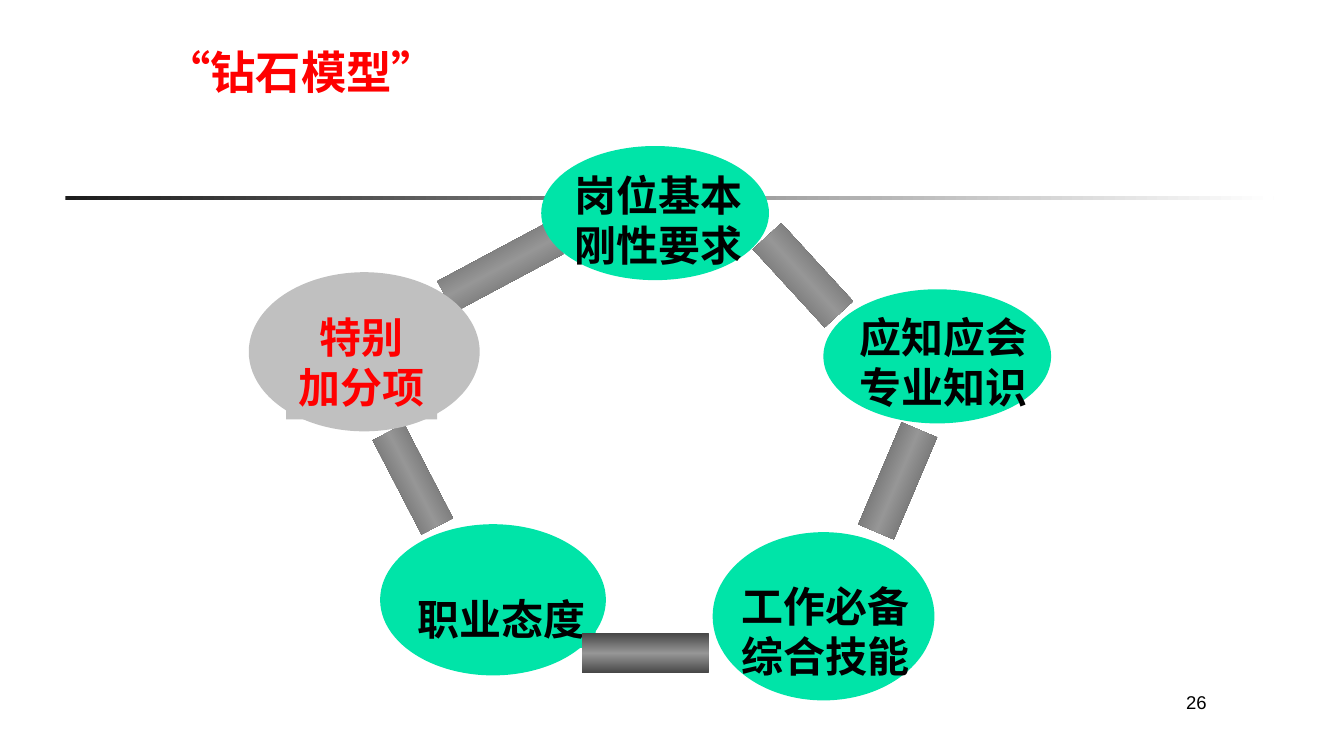
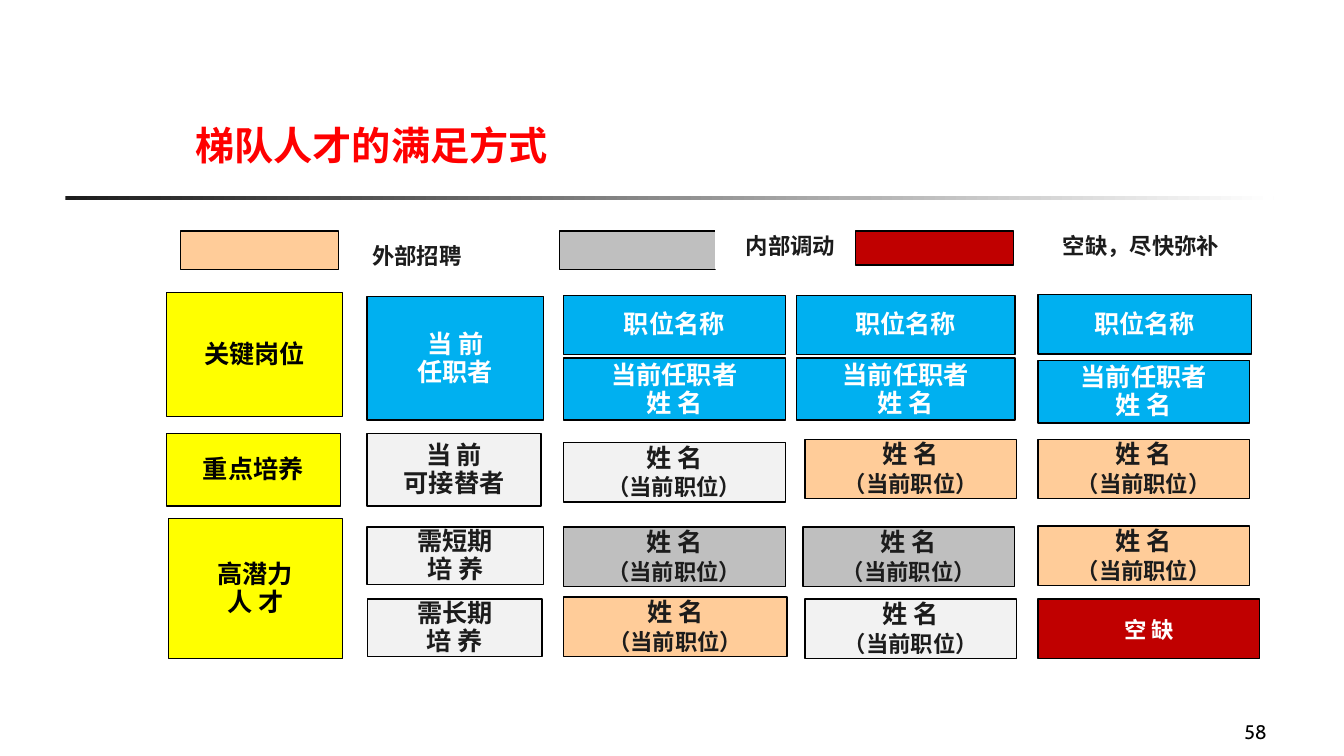
"""Build two slides: the diamond model and the ways to fill the talent pipeline."""
from pptx import Presentation, util as u
from pptx.dml.color import RGBColor
from pptx.enum import shapes, text
from pptx.oxml import parse_xml
from pptx.oxml.ns import nsdecls, qn

HUE = {
    "ink": "1C1C1C", "black": "000000", "white": "FFFFFF", "red": "FF0000",
    "mint": "00E4A8", "silver": "C0C0C0", "yellow": "FFFF00", "blue": "00B0F0",
    "pale": "F2F2F2", "peach": "FFCC99", "gray": "BFBFBF", "wine": "C00000",
    "steel": "454545", "shine": "969696",
}
SANS, LABEL = "Noto Sans CJK SC", "DejaVu Sans"
RECT, OVAL = shapes.MSO_SHAPE.RECTANGLE, shapes.MSO_SHAPE.OVAL
LEFT, MID, RIGHT = text.PP_ALIGN.LEFT, text.PP_ALIGN.CENTER, text.PP_ALIGN.RIGHT
TOP, CORE, BASE = text.MSO_ANCHOR.TOP, text.MSO_ANCHOR.MIDDLE, text.MSO_ANCHOR.BOTTOM


def draw(page, kind, at, fill=None, edge=None, angle=0):
    """Add a shape with a plain fill, a gradient (a tuple of hues) or none."""
    shape = page.shapes.add_shape(kind, *map(u.Cm, at))
    shape.shadow.inherit = False
    if isinstance(fill, tuple):
        step = 100000 // (len(fill) - 1)
        stops = "".join(
            f'<a:gs pos="{i * step}"><a:srgbClr val="{HUE[hue]}"/></a:gs>'
            for i, hue in enumerate(fill))
        shape.element.spPr.find(qn("a:prstGeom")).addnext(parse_xml(
            f'<a:gradFill {nsdecls("a")} rotWithShape="1"><a:gsLst>{stops}</a:gsLst>'
            f'<a:lin ang="{angle * 60000}" scaled="0"/></a:gradFill>'))
    elif fill:
        shape.fill.solid()
        shape.fill.fore_color.rgb = RGBColor.from_string(HUE[fill])
    else:
        shape.fill.background()
    if edge:
        shape.line.color.rgb = RGBColor.from_string(HUE[edge])
        shape.line.width = u.Pt(1 if edge == "black" else 2)
    else:
        shape.line.fill.background()
    return shape


def write(shape, words, size, hue, font=SANS, align=MID, anchor=CORE,
          gap=None, bold=True, wrap=True):
    """Fill a shape with formatted text; lines in brackets are 16 pt."""
    frame = shape.text_frame
    frame.text = words
    frame.auto_size = text.MSO_AUTO_SIZE.NONE
    frame.word_wrap = wrap
    frame.vertical_anchor = anchor
    for para in frame.paragraphs:
        para.alignment = align
        para.line_spacing = gap
        for run in para.runs:
            run.font.size = u.Pt(16 if run.text.startswith("（") else size)
            run.font.bold = bold
            run.font.name = font
            run.font.color.rgb = RGBColor.from_string(HUE[hue])
            run.font._element.append(parse_xml(
                f'<a:ea {nsdecls("a")} typeface="{font}"/>'))
    return frame


deck = Presentation()
deck.slide_width, deck.slide_height = u.Cm(33.87), u.Cm(19.05)
plan = deck.slide_layouts[5]

heads = [
    ("“钻石模型”", (2.59, 0.41, 9.17, 2.26), 32.4, TOP, 1.4,
     "26", (23.55, 17.35, 7.11, 0.74), 13.2, "Arial"),
    ("梯队人才的满足方式", (4.67, 2.87, 23.67, 1.57), 28, CORE, None,
     "58", (25.12, 17.58, 7.06, 1.27), 14, "Cabin"),
]
pages = []
for words, at, size, anchor, gap, num, spot, small, font in heads:
    page = deck.slides.add_slide(plan)
    title = page.shapes.title
    title.left, title.top, title.width, title.height = map(u.Cm, at)
    write(title, words, size, "red", align=LEFT, anchor=anchor, gap=gap)
    foot = page.shapes.add_textbox(*map(u.Cm, spot))
    write(foot, num, small, "black", font, RIGHT, BASE, bold=False)
    pages.append(page)
model, grid = pages

rule = draw(model, RECT, (1.65, 4.95, 30.45, 0.09), ("ink", "white"))
plan.element.cSld.spTree.append(rule.element)

frame = model.shapes.title.text_frame
frame.margin_left = frame.margin_right = u.Cm(0.3)
frame.margin_top = frame.margin_bottom = u.Cm(0.15)
frame.paragraphs[0]._p.get_or_add_pPr().set("marL", str(u.Cm(1.27)))

nodes = [
    ((11.05, 6.3, 3.12, 0.89), 331.9, (13.64, 3.68, 5.74, 3.38), "mint",
     (13.61, 4.11, 5.99, 2.87), None, "岗位基本\n刚性要求", "black"),
    ((9.07, 11.63, 2.67, 0.89), 242.6, (6.27, 6.86, 5.82, 4.01), "silver",
     (7.21, 7.7, 3.81, 2.87), "silver", "特别\n加分项", "red"),
    ((21.23, 11.63, 2.79, 0.97), 293, (9.58, 13.21, 5.69, 3.81), "mint",
     (10.26, 14.81, 4.75, 1.52), "mint", "职业态度", "black"),
    ((18.9, 6.45, 2.67, 0.97), 227.4, (20.75, 7.29, 5.74, 3.38), "mint",
     (20.78, 7.7, 5.99, 2.87), None, "应知应会\n专业知识", "black"),
    ((14.66, 15.95, 3.2, 1.02), 180, (17.96, 13.41, 5.59, 4.24), "mint",
     (18.36, 14.48, 4.88, 2.87), None, "工作必备\n综合技能", "black"),
]
for bar, turn, oval, hue, spot, back, words, ink in nodes:
    link = draw(model, RECT, bar, ("steel", "shine", "steel"), angle=90)
    link.rotation = turn
    draw(model, OVAL, oval, hue)
    label = draw(model, RECT, spot, back)
    frame = write(label, words, 30, ink, LABEL, anchor=TOP, wrap=False)
    frame.margin_left = frame.margin_right = u.Cm(0.3)
    frame.margin_top = frame.margin_bottom = u.Cm(0.15)

keys = [
    ((4.55, 5.82, 3.99, 0.97), "peach", (8.64, 5.82, 3.73, 1.19), "外部招聘"),
    ((14.1, 5.82, 3.99, 0.97), "gray", (18.06, 5.59, 3.73, 1.19), "内部调动"),
    ((21.56, 5.82, 3.99, 0.86), "wine", (25.76, 5.59, 5.99, 1.19), "空缺，尽快弥补"),
]
for at, hue, spot, words in keys:
    draw(grid, RECT, at, hue, "black")
    label = draw(grid, RECT, spot, "white", "white")
    write(label, words, 16, "ink", gap=u.Pt(20))

POST, HOLDER, NAME = "职位名称", "当前任职者\n姓 名", "姓 名\n（当前职位）"
INK = {"yellow": "black", "blue": "white", "wine": "white"}
cells = [
    (4.19, 7.37, 4.45, 3.12, "yellow", "关键岗位"),
    (4.19, 10.92, 4.39, 1.83, "yellow", "重点培养"),
    (4.24, 13.06, 4.39, 3.53, "yellow", "高潜力\n人 才"),
    (9.25, 7.47, 4.45, 3.12, "blue", "当 前\n任职者"),
    (9.25, 10.92, 4.39, 1.83, "pale", "当 前\n可接替者"),
    (9.25, 13.28, 4.45, 1.45, "pale", "需短期\n培 养"),
    (9.27, 15.09, 4.39, 1.45, "pale", "需长期\n培 养"),
    (14.2, 7.44, 5.59, 1.5, "blue", POST),
    (14.2, 9.02, 5.59, 1.57, "blue", HOLDER),
    (14.2, 11.15, 5.59, 1.5, "pale", NAME),
    (14.2, 13.28, 5.59, 1.5, "gray", NAME),
    (14.2, 15.04, 5.64, 1.5, "peach", NAME),
    (20.07, 7.44, 5.51, 1.5, "blue", POST),
    (20.07, 9.02, 5.51, 1.57, "blue", HOLDER),
    (20.29, 11.07, 5.33, 1.5, "peach", NAME),
    (20.24, 13.28, 5.33, 1.5, "gray", NAME),
    (20.29, 15.09, 5.33, 1.5, "pale", NAME),
    (26.16, 7.42, 5.38, 1.5, "blue", POST),
    (26.16, 9.09, 5.33, 1.57, "blue", HOLDER),
    (26.16, 11.07, 5.33, 1.5, "peach", NAME),
    (26.16, 13.26, 5.33, 1.5, "peach", NAME),
    (26.16, 15.09, 5.59, 1.5, "wine", "空 缺"),
]
for *at, hue, words in cells:
    cell = draw(grid, RECT, at, hue, "black")
    size = 16 if hue == "wine" else 18
    write(cell, words, size, INK.get(hue, "ink"), gap=u.Pt(20))

deck.save("out.pptx")
